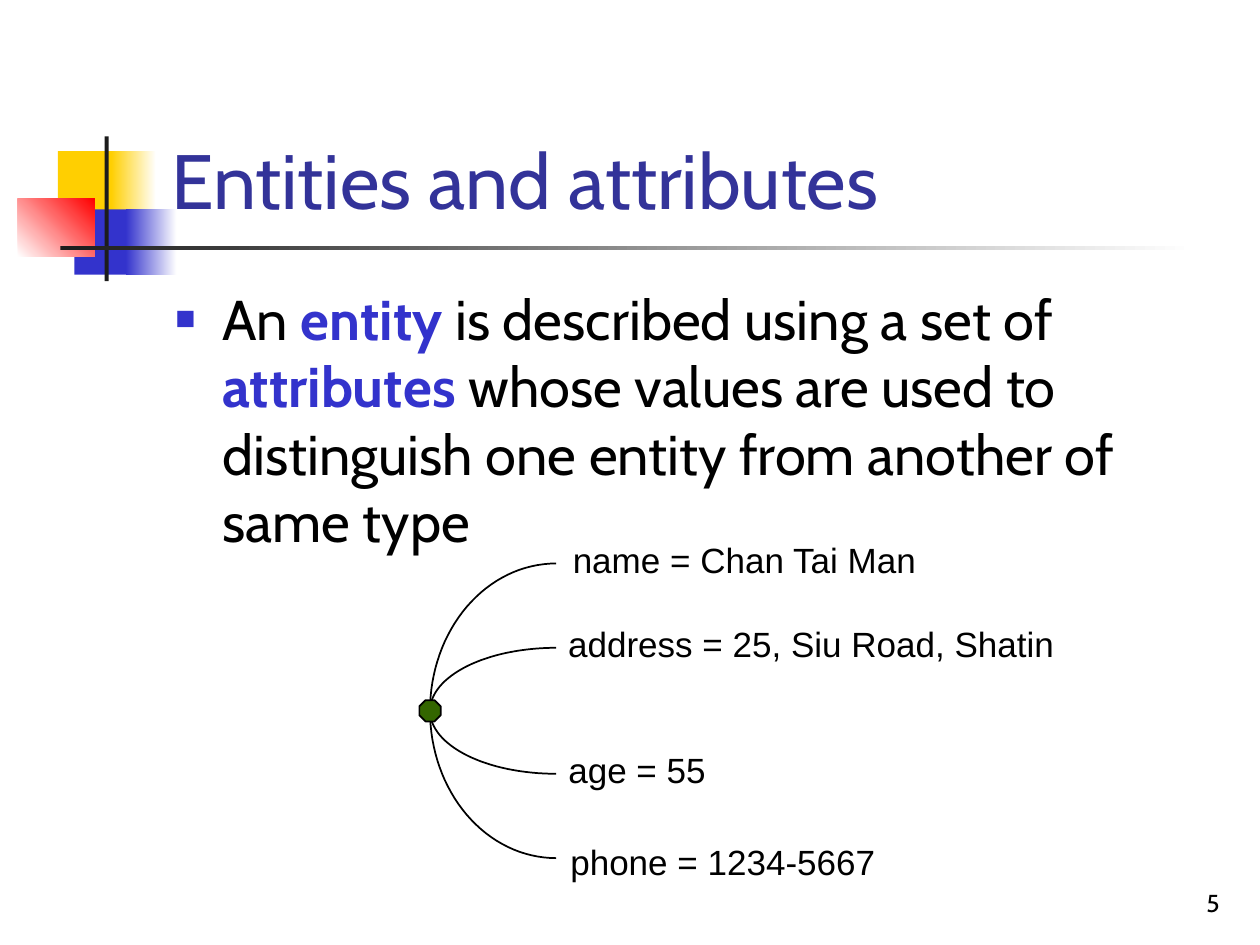
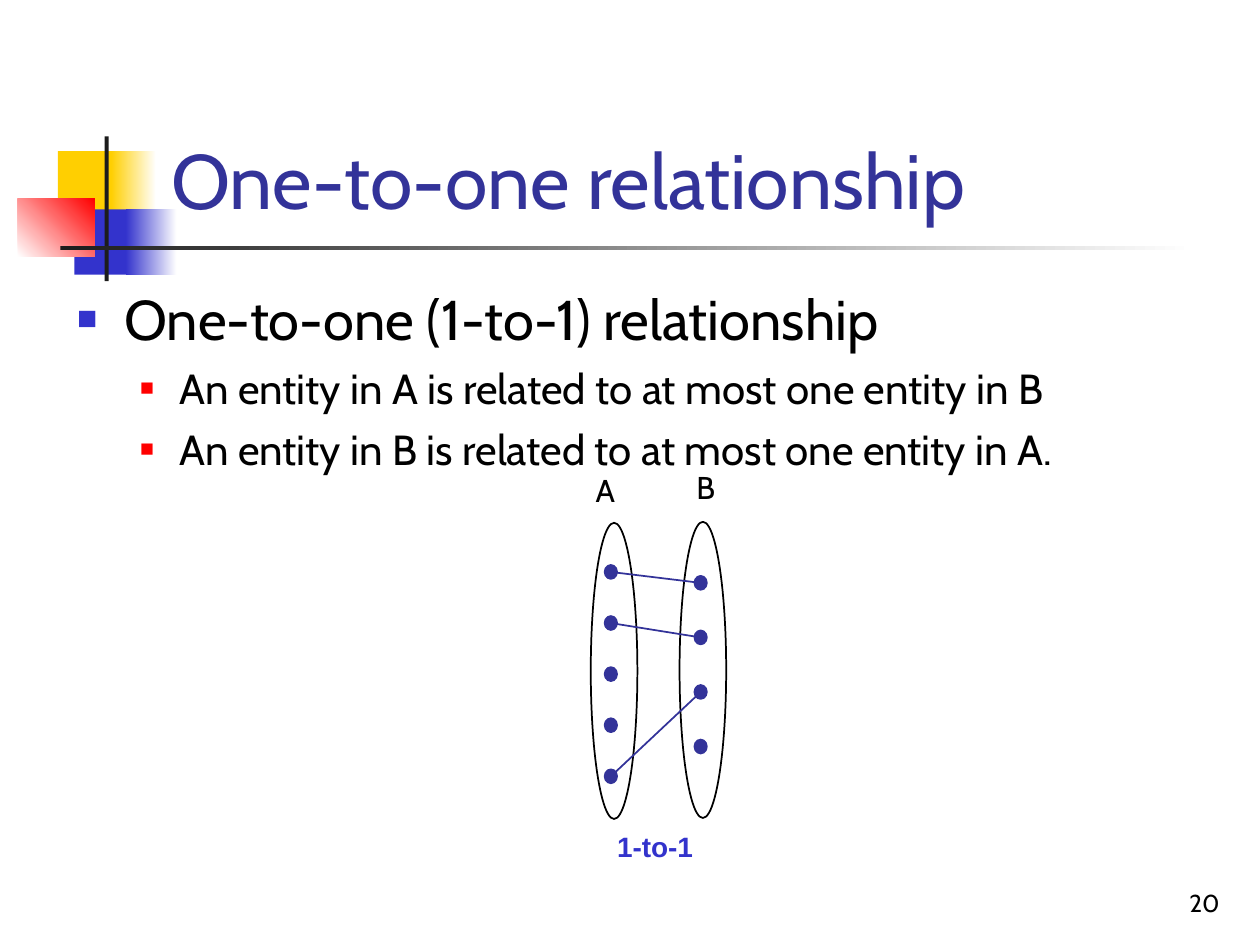
from math import cos, pi, sin

from lxml import etree
from pptx import Presentation
from pptx.dml.color import RGBColor
from pptx.enum.shapes import MSO_CONNECTOR, MSO_SHAPE
from pptx.enum.text import MSO_ANCHOR, MSO_AUTO_SIZE, PP_ALIGN
from pptx.oxml.ns import qn
from pptx.util import Cm, Pt

BLACK = RGBColor(0x00, 0x00, 0x00)
WHITE = RGBColor(0xFF, 0xFF, 0xFF)
CHARCOAL = RGBColor(0x1C, 0x1C, 0x1C)
YELLOW = RGBColor(0xFF, 0xCF, 0x01)
RED = RGBColor(0xFF, 0x00, 0x00)
BLUE = RGBColor(0x33, 0x33, 0xCC)
INDIGO = RGBColor(0x33, 0x33, 0x99)
GREEN = RGBColor(0x33, 0x66, 0x00)

HEADING_FONT = "Cabin"
LABEL_FONT = "Arial"

# Paragraphs are (level, [(text, emphasised), ...])
ENTITY_TITLE = "Entities and attributes"
ENTITY_BODY = [
    (0, [("An ", False), ("entity", True), (" is described using a set of ", False),
         ("attributes", True),
         (" whose values are used to distinguish one entity from another of same type", False)]),
]
# Text, label top, label width, height of the curve's end relative to the hub (cm)
ATTRIBUTES = [
    ("name = Chan Tai Man", 10.73, 7.52, -2.97),
    ("address = 25, Siu Road, Shatin", 12.42, 10.31, -1.27),
    ("age = 55", 14.96, 3.28, 1.27),
    ("phone = 1234-5667", 16.82, 6.7, 2.97),
]

RELATION_TITLE = "One-to-one relationship"
RELATION_BODY = [
    (0, [("One-to-one (1-to-1) relationship", False)]),
    (1, [("An entity in A is related to at most one entity in B", False)]),
    (1, [("An entity in B is related to at most one entity in A.", False)]),
]
# Lengths in cm
ENTITY_SETS = {
    "A": dict(label=(11.76, 9.37), oval=(11.91, 10.54), dot=(12.19, 11.39), step=1.03, count=5),
    "B": dict(label=(13.79, 9.32), oval=(13.7, 10.52), dot=(14, 11.61), step=1.1, count=4),
}
LINKS = [(0, 0), (1, 1), (4, 2)]  # index in A, index in B
DOT_WIDTH, DOT_HEIGHT = 0.25, 0.28

# Box in cm, start colour, end colour (None for a solid fill), gradient angle
BAND = [
    ((1.17, 3.05, 1.22, 1.32), YELLOW, None, 0),
    ((2.24, 3.05, 0.91, 1.32), YELLOW, WHITE, 0),
    ((1.5, 4.22, 1.17, 1.32), BLUE, None, 0),
    ((2.54, 4.22, 1.02, 1.32), BLUE, WHITE, 0),
    ((0.36, 4.01, 1.55, 1.17), WHITE, RED, 45),
    ((2.11, 2.75, 0.08, 2.92), CHARCOAL, None, 0),
    ((1.22, 4.95, 22.86, 0.09), CHARCOAL, WHITE, 0),
]
# Left margin and hanging indent in cm, space before, bullet colour and percent, text size
LEVELS = [
    (0.95, 0.95, 8, BLUE, 60, 32),
    (2.06, 0.79, 6, RED, 55, 24),
]


def lengths(values):
    return [Cm(value) for value in values]


def add_shape(slide, preset, box, fill=None, line=None):
    shape = slide.shapes.add_shape(preset, *lengths(box))
    style_shape(shape, fill, line)
    return shape


def style_shape(shape, fill, line):
    shape.shadow.inherit = False
    if fill is None:
        shape.fill.background()
    else:
        shape.fill.solid()
        shape.fill.fore_color.rgb = fill
    if line is None:
        shape.line.fill.background()
    else:
        shape.line.color.rgb = line
        shape.line.width = Pt(1)


def style_font(font, size, name=HEADING_FONT, color=BLACK, bold=False):
    font.size, font.name, font.bold = Pt(size), name, bold
    font.color.rgb = color


def add_label(slide, text, box, size, align=PP_ALIGN.LEFT, wrap=False, anchor=MSO_ANCHOR.TOP,
              **font_style):
    """Add a one-paragraph text box; without wrap, the box grows to keep one line."""
    frame = slide.shapes.add_textbox(*lengths(box)).text_frame
    frame.word_wrap = wrap
    frame.auto_size = MSO_AUTO_SIZE.NONE if wrap else MSO_AUTO_SIZE.SHAPE_TO_FIT_TEXT
    frame.vertical_anchor = anchor
    paragraph = frame.paragraphs[0]
    paragraph.text = text
    paragraph.alignment = align
    style_font(paragraph.font, size, **font_style)


def add_band(slide):
    for box, start, end, angle in BAND:
        shape = add_shape(slide, MSO_SHAPE.RECTANGLE, box, start)
        if end is not None:
            shape.fill.gradient()
            shape.fill.gradient_angle = angle
            for stop, color in zip(shape.fill.gradient_stops, (start, end)):
                stop.color.rgb = color


def place(placeholder, box):
    placeholder.left, placeholder.top, placeholder.width, placeholder.height = lengths(box)
    placeholder.text_frame.auto_size = MSO_AUTO_SIZE.NONE
    return placeholder.text_frame


def set_bullet(paragraph, margin, hanging, color, percent):
    properties = paragraph._p.get_or_add_pPr()
    properties.set("marL", str(Cm(margin)))
    properties.set("indent", str(-Cm(hanging)))
    bullet_color = etree.SubElement(properties, qn("a:buClr"))
    etree.SubElement(bullet_color, qn("a:srgbClr"), val=str(color))
    etree.SubElement(properties, qn("a:buSzPct"), val=str(percent * 1000))
    etree.SubElement(properties, qn("a:buFont"), typeface=LABEL_FONT)
    etree.SubElement(properties, qn("a:buChar"), char="■")


def fill_body(frame, body):
    for index, (level, runs) in enumerate(body):
        paragraph = frame.add_paragraph() if index else frame.paragraphs[0]
        margin, hanging, space, bullet_color, percent, size = LEVELS[level]
        paragraph.level = level
        paragraph.alignment = PP_ALIGN.LEFT
        paragraph.space_before = Pt(space if index else 0)
        set_bullet(paragraph, margin, hanging, bullet_color, percent)
        style_font(paragraph.font, size)
        for text, emphasised in runs:
            run = paragraph.add_run()
            run.text = text
            if emphasised:
                run.font.bold = True
                run.font.color.rgb = BLUE


def add_content_slide(presentation, title, body, body_left, number):
    slide = presentation.slides.add_slide(presentation.slide_layouts[1])
    add_band(slide)
    title_frame = place(slide.shapes.title, (3.2, 0.6, 21.64, 4.06))
    title_frame.vertical_anchor = MSO_ANCHOR.BOTTOM
    paragraph = title_frame.paragraphs[0]
    paragraph.text = title
    paragraph.alignment = PP_ALIGN.LEFT
    style_font(paragraph.font, 44, color=INDIGO)
    fill_body(place(slide.placeholders[1], (body_left, 5.61, 24.87 - body_left, 11.43)), body)
    add_label(slide, str(number), (19.56, 17.35, 5.28, 1.27), 14, PP_ALIGN.RIGHT,
              wrap=True, anchor=MSO_ANCHOR.BOTTOM)
    return slide


def add_quarter_curve(slide, hub_x, hub_y, width, rise, steps=32):
    """Draw a quarter ellipse that leaves the hub vertically and ends horizontally."""
    angles = [pi / 2 * step / steps for step in range(steps + 1)]
    points = [(Cm(hub_x + width * (1 - cos(angle))), Cm(hub_y + rise * sin(angle)))
              for angle in angles]
    builder = slide.shapes.build_freeform(*points[0])
    builder.add_line_segments(points[1:], close=False)
    style_shape(builder.convert_to_shape(), None, BLACK)


def add_attribute_diagram(slide):
    hub_x, hub_y, hub_size = 8.67, 14.33, 0.43
    for text, top, width, rise in ATTRIBUTES:
        add_quarter_curve(slide, hub_x, hub_y, 2.54, rise)
        add_label(slide, text, (11.2, top, width, 1.12), 20, PP_ALIGN.RIGHT, name=LABEL_FONT)
    hub_box = (hub_x - hub_size / 2, hub_y - hub_size / 2, hub_size, hub_size)
    add_shape(slide, MSO_SHAPE.OCTAGON, hub_box, GREEN, BLACK)


def dot_position(entity_set, index):
    left, top = entity_set["dot"]
    return left, top + index * entity_set["step"]


def dot_center(entity_set, index):
    left, top = dot_position(entity_set, index)
    return left + DOT_WIDTH / 2, top + DOT_HEIGHT / 2


def add_link(slide, start, end):
    link = slide.shapes.add_connector(MSO_CONNECTOR.STRAIGHT, *lengths(start + end))
    link.line.color.rgb = INDIGO
    link.line.width = Pt(1)
    etree.SubElement(link._element.spPr, qn("a:effectLst"))


def add_mapping_diagram(slide):
    for name, entity_set in ENTITY_SETS.items():
        add_shape(slide, MSO_SHAPE.OVAL, (*entity_set["oval"], 0.94, 5.97), line=BLACK)
        add_label(slide, name, (*entity_set["label"], 0.91, 1.02), 18)
    for index_a, index_b in LINKS:
        add_link(slide, dot_center(ENTITY_SETS["A"], index_a),
                 dot_center(ENTITY_SETS["B"], index_b))
    for entity_set in ENTITY_SETS.values():
        for index in range(entity_set["count"]):
            box = (*dot_position(entity_set, index), DOT_WIDTH, DOT_HEIGHT)
            add_shape(slide, MSO_SHAPE.OVAL, box, INDIGO, INDIGO)
    add_label(slide, "1-to-1", (12.19, 16.59, 2.06, 0.91), 16,
              name=LABEL_FONT, color=BLUE, bold=True)


def main():
    presentation = Presentation()
    presentation.slide_width, presentation.slide_height = Cm(25.4), Cm(19.05)
    add_attribute_diagram(
        add_content_slide(presentation, ENTITY_TITLE, ENTITY_BODY, 3.28, 5))
    add_mapping_diagram(
        add_content_slide(presentation, RELATION_TITLE, RELATION_BODY, 1.3, 20))
    presentation.save("out.pptx")


if __name__ == "__main__":
    main()
